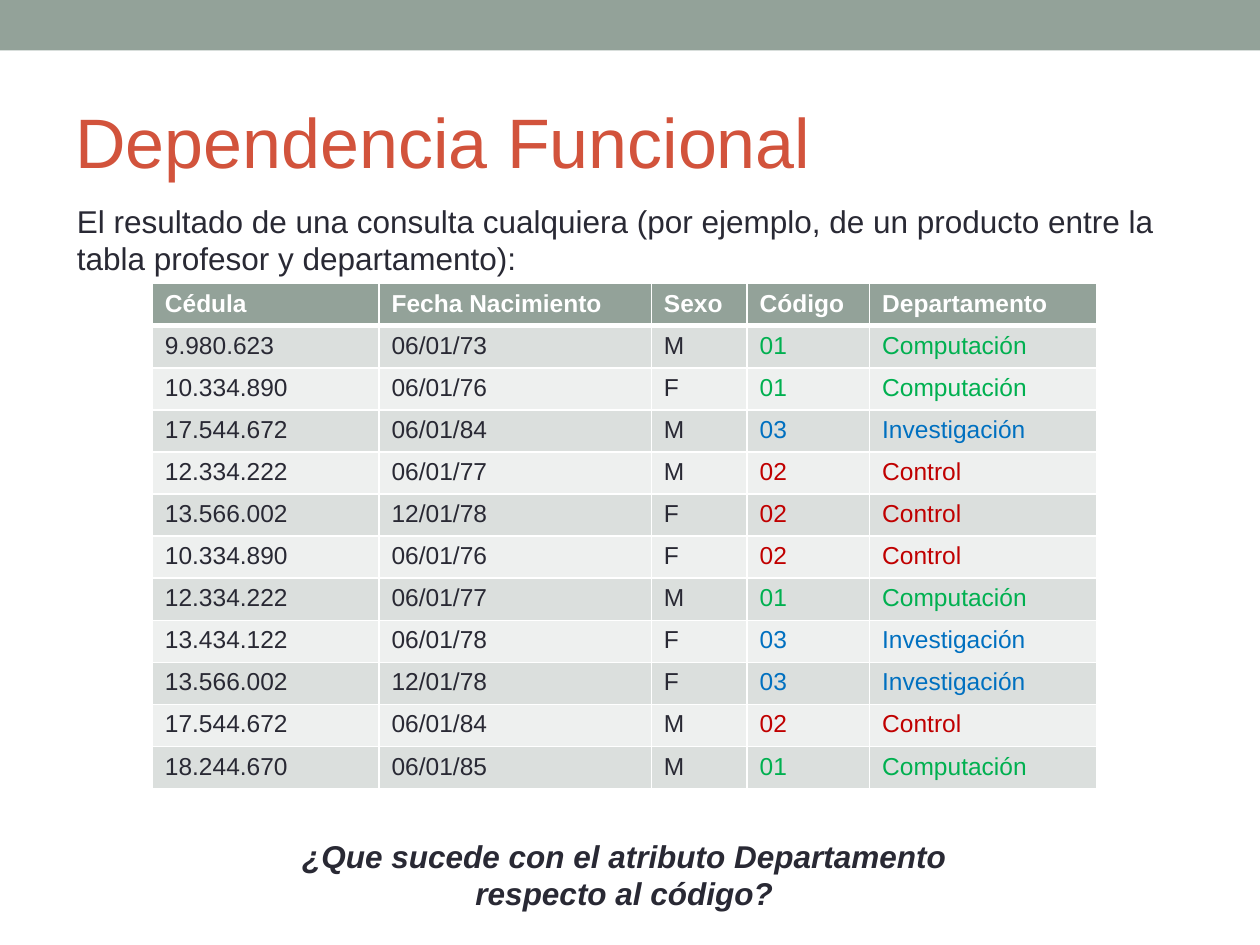
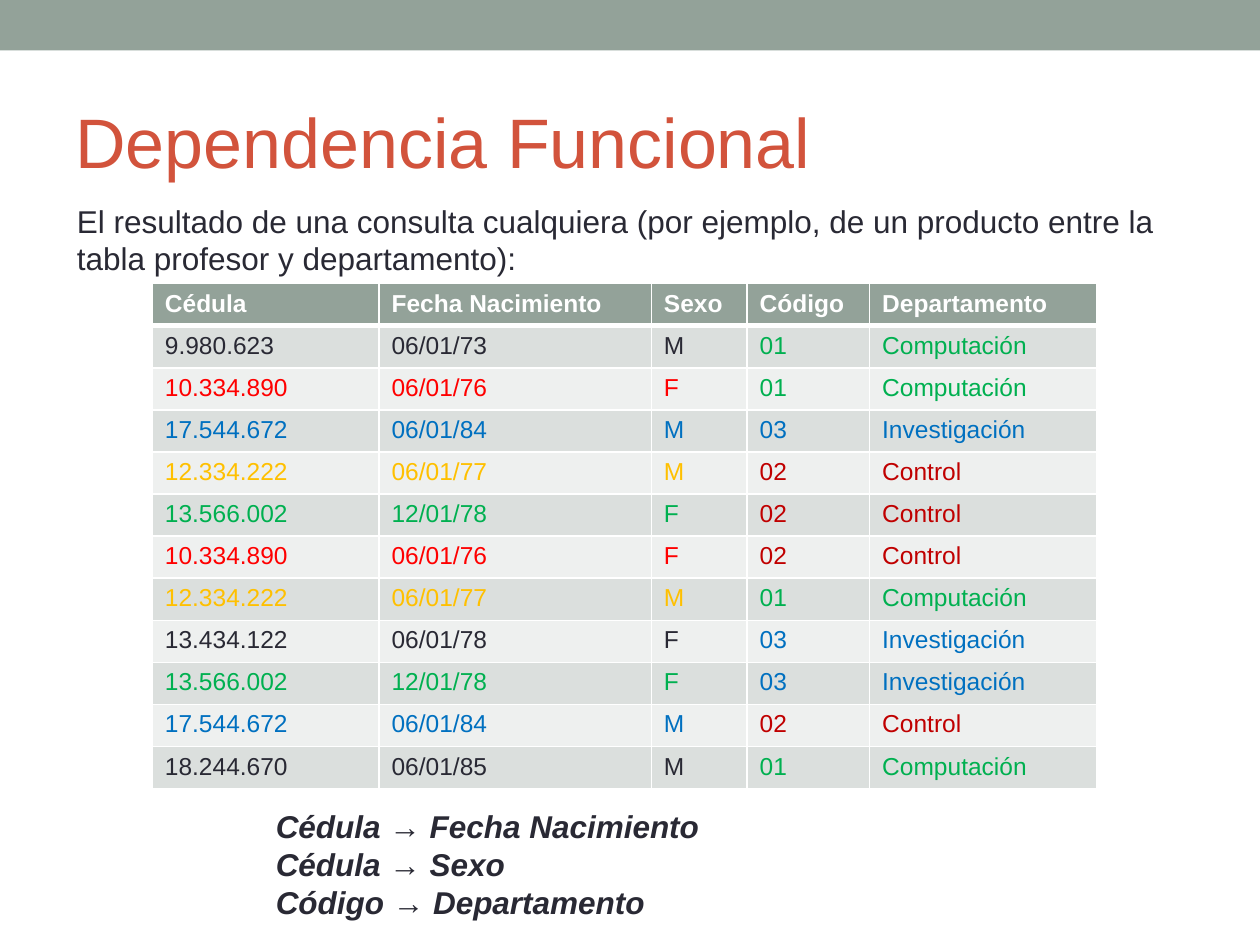
from lxml.etree import SubElement as Sub
from pptx import Presentation as Deck
from pptx.dml.color import RGBColor as Rgb
from pptx.enum.shapes import MSO_SHAPE as Kind
from pptx.enum.text import MSO_ANCHOR as Anchor, PP_ALIGN as Align
from pptx.oxml.ns import qn
from pptx.util import Cm, Pt

HUES = {
    "band": "93A299", "title": "D2533C", "ink": "292934", "white": "FFFFFF",
    "dark": "DBDFDD", "light": "EEF0EF", "green": "00B050", "blue": "0070C0",
    "wine": "C00000", "red": "FF0000", "gold": "FFC000",
}
BOXES = {
    "band": (0, 0, 25.4, 1.02),
    "title": (1.27, 1.47, 22.86, 2.74),
    "intro": (1.3, 3.94, 22.8, 1.8),
    "grid": (3.07, 5.72, 19.03, 8.88),
    "query": (5.31, 16.74, 14.55, 1.8),
    "rules": (5.31, 16.15, 14.55, 2.57),
}
BODY = {"size": Pt(18), "name": "Arial"}
HEAD = {"size": Pt(40), "name": "Arial"}
NOTE = {**BODY, "bold": True, "italic": True}
CELL = {"size": Pt(14), "name": "Arial", "bold": False}

TITLE = "Dependencia Funcional"
INTRO = ("El resultado de una consulta cualquiera (por ejemplo, de un producto "
         "entre la tabla profesor y departamento):")
QUERY = "¿Que sucede con el atributo Departamento respecto al código?"
RULES = ("Cédula → Fecha Nacimiento", "Cédula → Sexo", "Código → Departamento")

HEADS = ("Cédula", "Fecha Nacimiento", "Sexo", "Código", "Departamento")
WIDTHS = (4.57, 5.49, 1.93, 2.47, 4.57)
UNITS = {
    "01": ("Computación", "green"),
    "02": ("Control", "wine"),
    "03": ("Investigación", "blue"),
}
STAFF = {
    "9.980.623": ("06/01/73", "M", "ink"),
    "10.334.890": ("06/01/76", "F", "red"),
    "17.544.672": ("06/01/84", "M", "blue"),
    "12.334.222": ("06/01/77", "M", "gold"),
    "13.566.002": ("12/01/78", "F", "green"),
    "13.434.122": ("06/01/78", "F", "ink"),
    "18.244.670": ("06/01/85", "M", "ink"),
}
PAIRS = (
    ("9.980.623", "01"), ("10.334.890", "01"), ("17.544.672", "03"),
    ("12.334.222", "02"), ("13.566.002", "02"), ("10.334.890", "02"),
    ("12.334.222", "01"), ("13.434.122", "03"), ("13.566.002", "03"),
    ("17.544.672", "02"), ("18.244.670", "01"),
)


def tint(name):
    """Return the named colour."""
    return Rgb.from_string(HUES[name])


def style(font, form, hue):
    """Apply the format values and the colour to a font."""
    for key, value in form.items():
        setattr(font, key, value)
    font.color.rgb = tint(hue)


def write(slide, box, lines, form, hue="ink", align=Align.LEFT, anchor=Anchor.TOP):
    """Fill the box with one paragraph for each line."""
    frame = slide.shapes.add_textbox(*map(Cm, box)).text_frame
    frame.word_wrap = True
    frame.vertical_anchor = anchor
    for at, line in enumerate(lines):
        para = frame.add_paragraph() if at else frame.paragraphs[0]
        para.alignment = align
        run = para.add_run()
        run.text = line
        style(run.font, form, hue)


def band(slide, box):
    """Draw the top band in the box."""
    bar = slide.shapes.add_shape(Kind.RECTANGLE, *map(Cm, box))
    bar.shadow.inherit = False
    bar.fill.solid()
    bar.fill.fore_color.rgb = tint("band")
    bar.line.fill.background()


def edge(cell, base):
    """Rule the cell in white, with the given weight at its base."""
    props = cell._tc.get_or_add_tcPr()
    for side, weight in (("L", 1), ("R", 1), ("T", 1), ("B", base)):
        line = Sub(props, qn(f"a:ln{side}"), w=str(Pt(weight)))
        Sub(Sub(line, qn("a:solidFill")), qn("a:srgbClr"), val=HUES["white"])


def put(cell, text, fill, hue, bold=False, base=1):
    """Write and format one cell."""
    edge(cell, base)
    cell.fill.solid()
    cell.fill.fore_color.rgb = tint(fill)
    run = cell.text_frame.paragraphs[0].add_run()
    run.text = text
    style(run.font, {**CELL, "bold": bold}, hue)


def grid(slide, box, marked):
    """Place the staff table in the box, marking repeated people on request."""
    count = len(PAIRS) + 1
    table = slide.shapes.add_table(count, len(HEADS), *map(Cm, box)).table
    table.first_row = table.horz_banding = False
    for col, width in zip(table.columns, WIDTHS):
        col.width = Cm(width)
    for row in table.rows:
        row.height = Cm(box[3] / count)
    for col, text in enumerate(HEADS):
        put(table.cell(0, col), text, "band", "white", True, 3)
    for row, (card, code) in enumerate(PAIRS, 1):
        born, sex, mark = STAFF[card]
        unit, hue = UNITS[code]
        fill = "dark" if row % 2 else "light"
        for col, text in enumerate((card, born, sex, code, unit)):
            shade = hue if col > 2 else mark if marked else "ink"
            put(table.cell(row, col), text, fill, shade)


def page(deck, marked=False):
    """Add a slide with the shared band, title, table and intro."""
    slide = deck.slides.add_slide(deck.slide_layouts[6])
    band(slide, BOXES["band"])
    write(slide, BOXES["title"], [TITLE], HEAD, "title", anchor=Anchor.MIDDLE)
    grid(slide, BOXES["grid"], marked)
    write(slide, BOXES["intro"], [INTRO], BODY)
    return slide


def main():
    """Build and save both slides."""
    deck = Deck()
    deck.slide_width, deck.slide_height = Cm(25.4), Cm(19.05)
    write(page(deck), BOXES["query"], [QUERY], NOTE, align=Align.CENTER)
    write(page(deck, True), BOXES["rules"], RULES, NOTE)
    deck.save("out.pptx")


if __name__ == "__main__":
    main()
